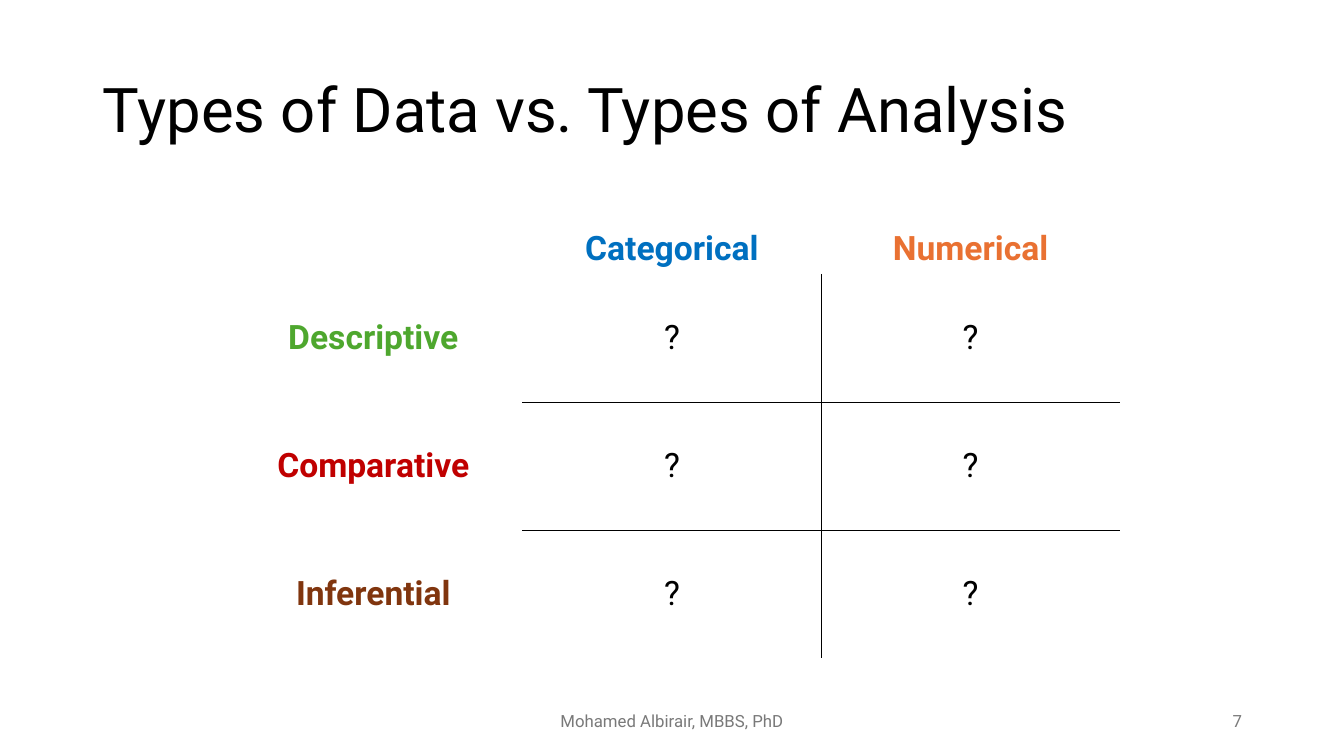
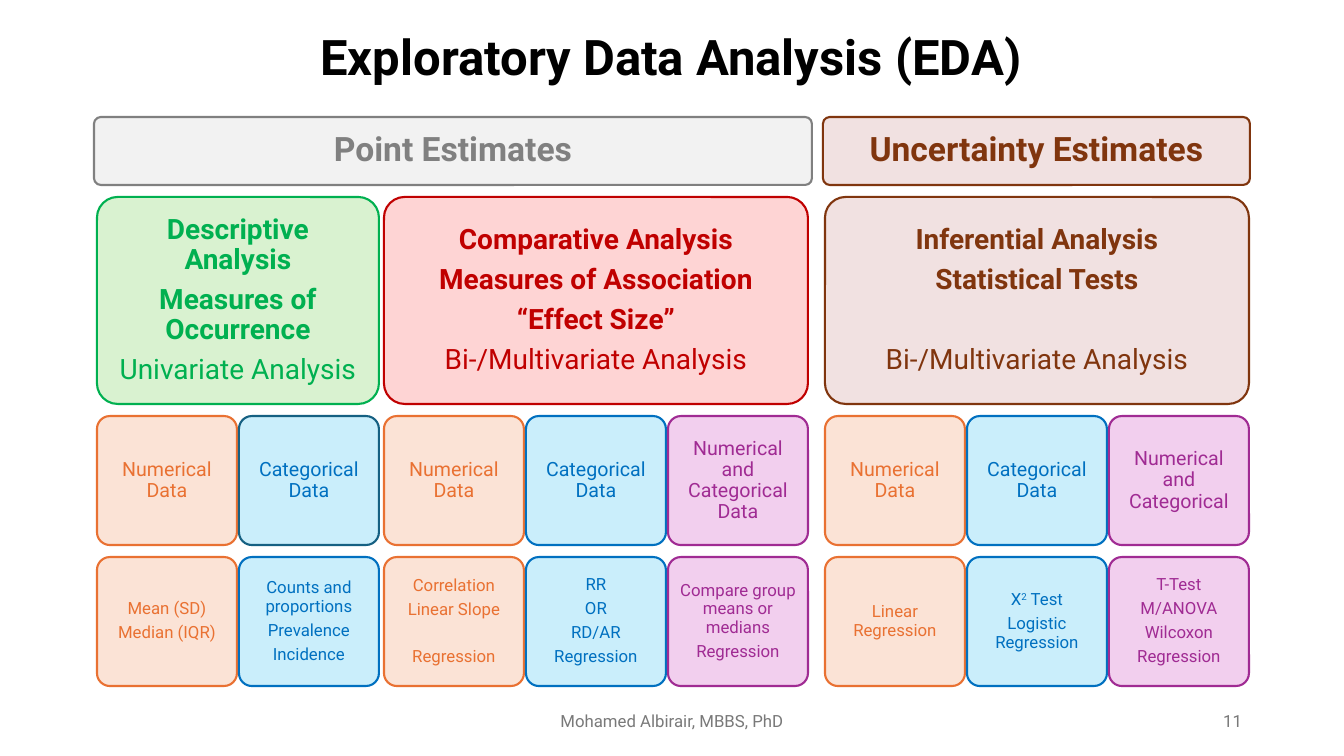
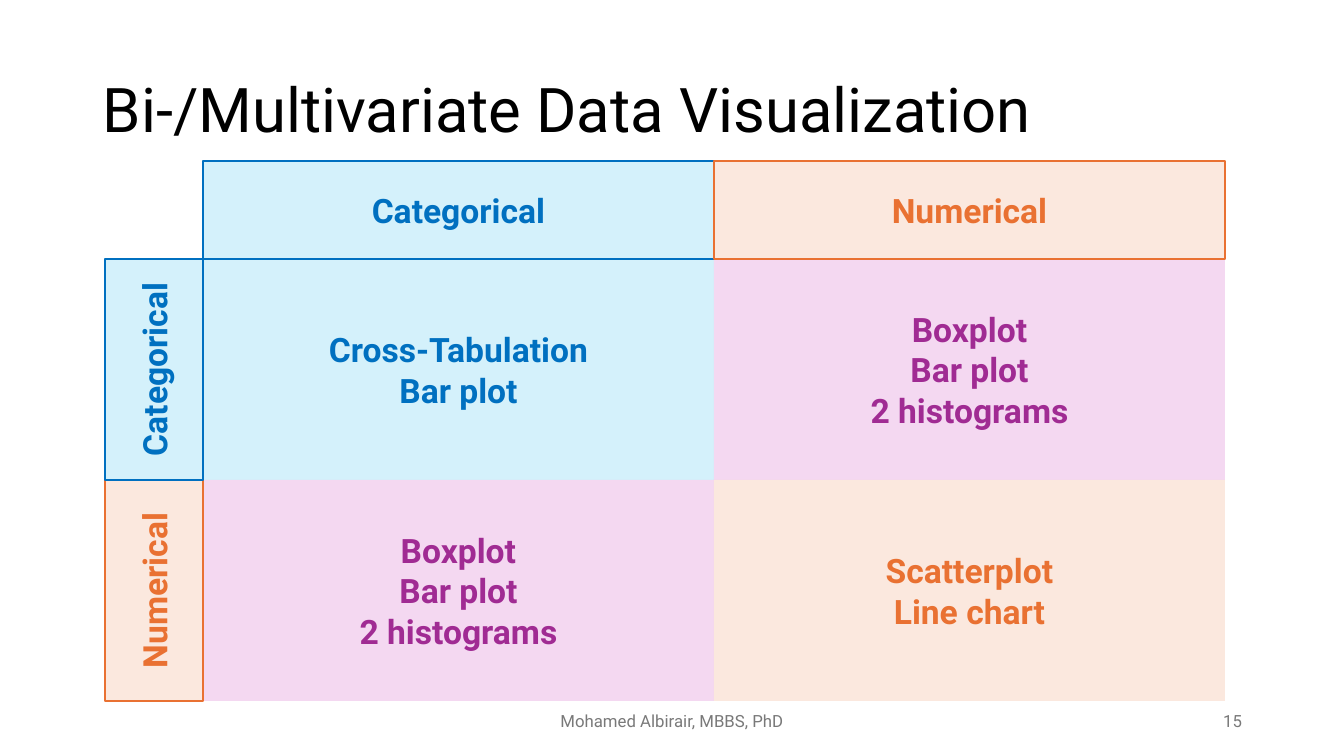
import pptx
import pptx.util
import pptx.dml.color
import pptx.enum.shapes
import pptx.enum.text
import pptx.oxml

PX = 914400 / 100.8
FONT = "Roboto"
AUTHOR = "Mohamed Albirair, MBBS, PhD"
COLORS = {
    "black": "000000", "footer": "797979", "gray": "808080", "gray_fill": "F2F2F2",
    "blue": "0070C0", "blue_fill": "CAEEFB", "teal": "156082",
    "orange": "E97132", "orange_fill": "FBE3D6",
    "purple": "A02B93", "purple_fill": "F2CFEE",
    "green": "00B050", "green_fill": "D9F2D0", "leaf": "4EA72E",
    "red": "C00000", "red_fill": "FED4D4",
    "brown": "80350E", "brown_fill": "F1E1E1",
}
RGB = {name: pptx.dml.color.RGBColor.from_string(code) for name, code in COLORS.items()}
SHAPES = pptx.enum.shapes.MSO_SHAPE
ALIGN = pptx.enum.text.PP_ALIGN
MIDDLE = pptx.enum.text.MSO_ANCHOR.MIDDLE
DRAWING = 'xmlns:a="http://schemas.openxmlformats.org/drawingml/2006/main"'


def write(frame, lines, size, color, bold=0, align=ALIGN.CENTER, leading=1.0, after=0, gap=None):
    frame.word_wrap = True
    frame.vertical_anchor = MIDDLE
    for index, line in enumerate(lines):
        para = frame.paragraphs[0] if index == 0 else frame.add_paragraph()
        para.alignment = align
        para.line_spacing = leading
        para.space_after = pptx.util.Pt(after * size)
        if index == gap:
            para.space_before = pptx.util.Pt(1.41 * size)
        for part, text in enumerate(line.split("^")):
            span = para.add_run()
            span.text = text
            span.font.name = FONT
            span.font.size = pptx.util.Pt(size)
            span.font.bold = index < bold
            span.font.color.rgb = RGB[color]
            if part % 2:
                span.font._element.set("baseline", "30000")


def add_box(page, kind, bounds, fill=None, line=None, inset=None, alpha=None):
    left, top, width, height = [round(value * PX) for value in bounds]
    if kind is None:
        box = page.shapes.add_textbox(left, top, width, height)
    else:
        box = page.shapes.add_shape(kind, left, top, width, height)
        box.shadow.inherit = False
        box.fill.solid()
        box.fill.fore_color.rgb = RGB[fill]
        if kind == SHAPES.ROUNDED_RECTANGLE:
            box.adjustments[0] = 0.1
        if line:
            box.line.color.rgb = RGB[line]
            box.line.width = pptx.util.Pt(1.5)
        else:
            box.line.fill.background()
    if alpha:
        tint = box.fill._xPr.find(".//" + pptx.oxml.ns.qn("a:srgbClr"))
        tint.append(pptx.oxml.parse_xml(f'<a:alpha {DRAWING} val="{alpha * 1000}"/>'))
    if inset is not None:
        frame = box.text_frame
        frame.margin_left = frame.margin_right = round(inset * PX)
        frame.margin_top = frame.margin_bottom = round(inset * PX)
    return box


deck = pptx.Presentation()
deck.slide_width = round(1344 * PX)
deck.slide_height = round(756 * PX)

pages = []
for number, title in [
    ("7", "Types of Data vs. Types of Analysis"),
    ("11", None),
    ("15", "Bi-/Multivariate Data Visualization"),
]:
    page = deck.slides.add_slide(deck.slide_layouts[6])
    pages.append(page)
    if title:
        box = add_box(page, None, (93, 40, 1159, 146))
        write(box.text_frame, [title], 44, "black", align=ALIGN.LEFT, leading=0.9)
    for bounds, text, align in [
        ((445, 701, 454, 40), AUTHOR, ALIGN.CENTER),
        ((949, 701, 303, 40), number, ALIGN.RIGHT),
    ]:
        box = add_box(page, None, bounds)
        write(box.text_frame, [text], 12, "footer", align=align)
types_page, eda_page, charts_page = pages

grid = [
    [None, ("Categorical", "blue"), ("Numerical", "orange")],
    [("Descriptive", "leaf"), ("?", "black"), ("?", "black")],
    [("Comparative", "red"), ("?", "black"), ("?", "black")],
    [("Inferential", "brown"), ("?", "black"), ("?", "black")],
]
table = types_page.shapes.add_table(
    4, 3, round(224 * PX), round(224 * PX), round(896 * PX), round(433 * PX)
).table
table.first_row = False
table.horz_banding = False
for column in table.columns:
    column.width = round(896 / 3 * PX)
for index, row in enumerate(table.rows):
    row.height = round((128 if index else 49) * PX)
for row, entries in enumerate(grid):
    for column, entry in enumerate(entries):
        cell = table.cell(row, column)
        cell.vertical_anchor = MIDDLE
        if entry:
            text, color = entry
            write(cell.text_frame, [text], 24, color, bold=0 if text == "?" else 1)
        if row and column:
            sides = ["lnR" if column == 1 else "lnL"]
            if row > 1:
                sides.append("lnT")
            if row < 3:
                sides.append("lnB")
            properties = cell._tc.get_or_add_tcPr()
            for side in sorted(sides, key=["lnL", "lnR", "lnT", "lnB"].index):
                properties.append(pptx.oxml.parse_xml(
                    f'<a:{side} {DRAWING} w="12700"><a:solidFill>'
                    f'<a:srgbClr val="{COLORS["black"]}"/></a:solidFill></a:{side}>'
                ))
        cell.fill.background()

box = add_box(eda_page, None, (95, 18, 1153, 84), inset=15)
write(box.text_frame, ["Exploratory Data Analysis (EDA)"], 35, "black", bold=1, leading=0.9, after=0.35)

for left, width, text, color in [
    (94, 718, "Point Estimates", "gray"),
    (823, 427, "Uncertainty Estimates", "brown"),
]:
    box = add_box(eda_page, SHAPES.ROUNDED_RECTANGLE, (left, 117, width, 68), color + "_fill", color, 10)
    write(box.text_frame, [text], 24, color, bold=1, leading=0.9, after=0.35)

TILE, PITCH = 140, 142
tile_colors = ["orange", "blue", "purple"]
analyses = [
    (97, "green", ["Descriptive Analysis", "Measures of Occurrence", "Univariate Analysis"], None, [
        ("Numerical Data", ["Mean (SD)", "Median (IQR)"], None),
        ("Categorical Data", ["Counts and proportions", "Prevalence", "Incidence"], None),
    ]),
    (384, "red", ["Comparative Analysis", "Measures of Association", "“Effect Size”",
                  "Bi-/Multivariate Analysis"], None, [
        ("Numerical Data", ["Correlation", "Linear Slope", "Regression"], 2),
        ("Categorical Data", ["RR", "OR", "RD/AR", "Regression"], None),
        ("Numerical and Categorical Data", ["Compare group means or medians", "Regression"], None),
    ]),
    (825, "brown", ["Inferential Analysis", "Statistical Tests", "Bi-/Multivariate Analysis"], 2, [
        ("Numerical Data", ["Linear Regression"], None),
        ("Categorical Data", ["X^2^ Test", "Logistic Regression"], None),
        ("Numerical and Categorical", ["T-Test", "M/ANOVA", "Wilcoxon", "Regression"], None),
    ]),
]
for left, color, heading, heading_gap, tiles in analyses:
    width = (len(tiles) - 1) * PITCH + TILE
    box = add_box(eda_page, SHAPES.ROUNDED_RECTANGLE, (left, 197, width, 207), color + "_fill", color, 8)
    write(box.text_frame, heading, 20, color, bold=len(heading) - 1, leading=0.9, after=0.35, gap=heading_gap)
    for index, (data_type, methods, methods_gap) in enumerate(tiles):
        tile_color = tile_colors[index]
        for top, lines, size, inset, gap in [
            (416, [data_type], 14, 6, None),
            (557, methods, 12, 5, methods_gap),
        ]:
            outline = "teal" if (color, tile_color, top) == ("green", "blue", 416) else tile_color
            bounds = (left + index * PITCH, top, TILE, 129)
            box = add_box(eda_page, SHAPES.ROUNDED_RECTANGLE, bounds, tile_color + "_fill", outline, inset)
            write(box.text_frame, lines, size, tile_color, leading=0.9, after=0.35, gap=gap)

LEFT, TOP, WIDTH, HEIGHT, BAND = 203, 259, 511, 221, 98
mixed = ["Boxplot", "Bar plot", "2 histograms"]
for row, column, lines, color in [
    (0, 0, ["Cross-Tabulation", "Bar plot"], "blue"),
    (0, 1, mixed, "purple"),
    (1, 0, mixed, "purple"),
    (1, 1, ["Scatterplot", "Line chart"], "orange"),
]:
    bounds = (LEFT + column * WIDTH, TOP + row * HEIGHT, WIDTH, HEIGHT)
    box = add_box(charts_page, SHAPES.RECTANGLE, bounds, color + "_fill", alpha=80)
    write(box.text_frame, lines, 24, color, bold=len(lines))

side_left = LEFT - (BAND + HEIGHT) / 2
side_top = TOP + (HEIGHT - BAND) / 2
for text, color, bounds, rotation in [
    ("Categorical", "blue", (LEFT, TOP - BAND, WIDTH, BAND), 0),
    ("Numerical", "orange", (side_left, side_top + HEIGHT, HEIGHT, BAND), 270),
    ("Numerical", "orange", (LEFT + WIDTH, TOP - BAND, WIDTH, BAND), 0),
    ("Categorical", "blue", (side_left, side_top, HEIGHT, BAND), 270),
]:
    box = add_box(charts_page, SHAPES.RECTANGLE, bounds, color + "_fill", color, alpha=80)
    box.rotation = rotation
    write(box.text_frame, [text], 24, color, bold=1)

deck.save("out.pptx")
